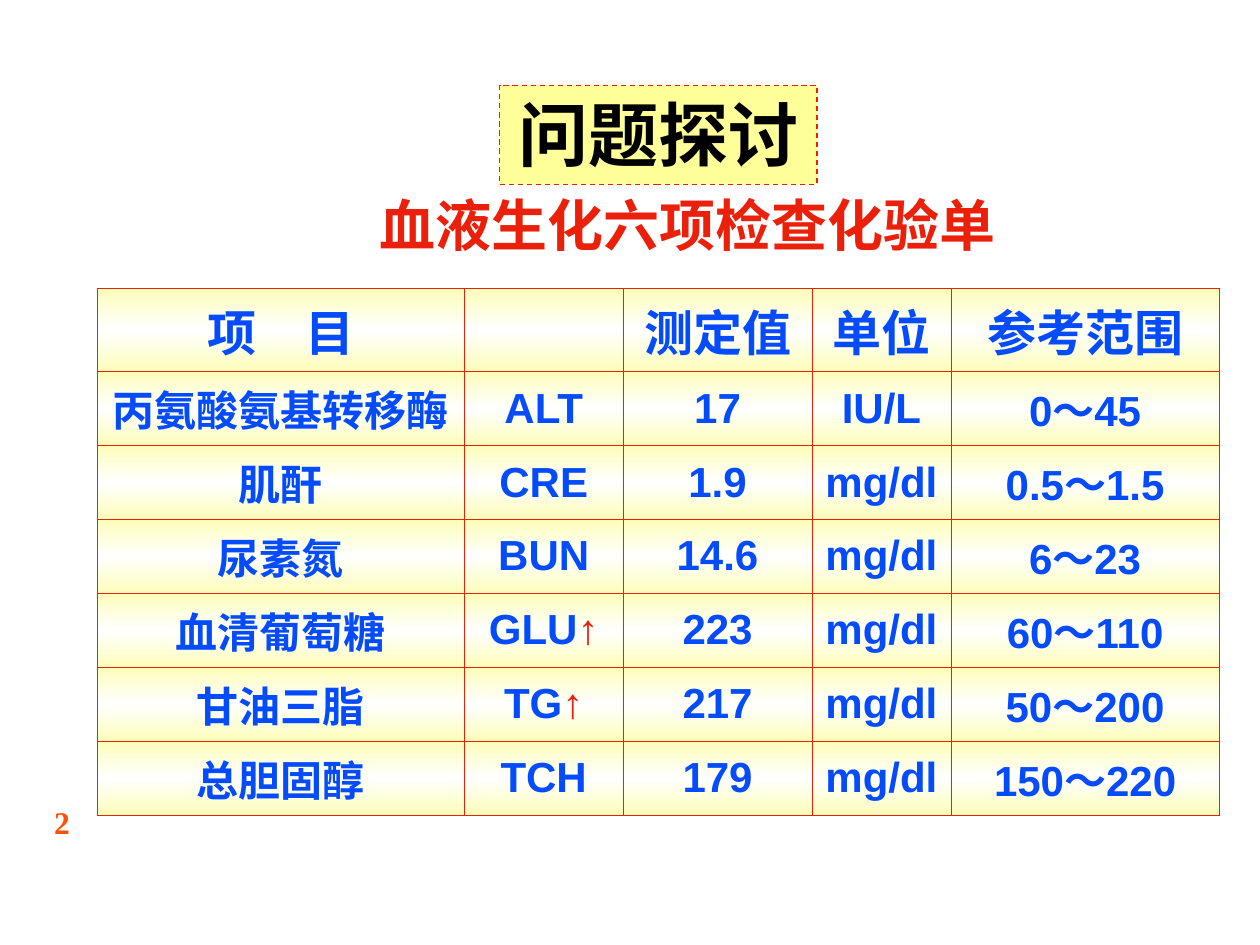
"""Build the blood chemistry report slide."""
from pptx import Presentation
from pptx.dml.color import RGBColor as RGB
from pptx.enum.dml import MSO_LINE as Dash
from pptx.enum.text import MSO_ANCHOR as Anchor, MSO_AUTO_SIZE as Fit, PP_ALIGN as Align
from pptx.oxml import parse_xml
from pptx.oxml.ns import nsdecls
from pptx.util import Cm, Pt

RED = RGB(0xEB, 0x20, 0x0B)
BLUE = RGB(0x04, 0x4B, 0xFC)
ORANGE = RGB(0xFF, 0x50, 0x08)
YELLOW = RGB(0xFF, 0xFF, 0x99)
CREAM = RGB(0xFC, 0xFE, 0xB9)
WHITE = RGB(0xFF, 0xFF, 0xFF)
BLACK = RGB(0, 0, 0)

ROWS = [
    ("项　目", "", "测定值", "单位", "参考范围"),
    ("丙氨酸氨基转移酶", "ALT", "17", "IU/L", "0～45"),
    ("肌酐", "CRE", "1.9", "mg/dl", "0.5～1.5"),
    ("尿素氮", "BUN", "14.6", "mg/dl", "6～23"),
    ("血清葡萄糖", "GLU↑", "223", "mg/dl", "60～110"),
    ("甘油三脂", "TG↑", "217", "mg/dl", "50～200"),
    ("总胆固醇", "TCH", "179", "mg/dl", "150～220"),
]
WIDTHS = [7.4, 3.2, 3.81, 2.8, 5.41]
HEIGHTS = [1.67] + [1.49] * 6


def style(para, size, color, face="Times New Roman", align=Align.CENTER):
    para.alignment = align
    font = para.font
    font.size, font.bold, font.name = Pt(size), True, face
    font.color.rgb = color


def paint(cell):
    props = cell._tc.get_or_add_tcPr()
    for side in ("lnL", "lnR", "lnT", "lnB"):
        props.append(parse_xml(
            f'<a:{side} {nsdecls("a")} w="5715"><a:solidFill>'
            f'<a:srgbClr val="{RED}"/></a:solidFill></a:{side}>'))
    stops = "".join(
        f'<a:gs pos="{pos}"><a:srgbClr val="{color}"/></a:gs>'
        for pos, color in ((0, CREAM), (50000, WHITE), (100000, CREAM)))
    props.append(parse_xml(
        f'<a:gradFill {nsdecls("a")}><a:gsLst>{stops}</a:gsLst>'
        '<a:lin ang="5400000" scaled="1"/></a:gradFill>'))


deck = Presentation()
deck.slide_width, deck.slide_height = Cm(25.4), Cm(19.05)
slide = deck.slides.add_slide(deck.slide_layouts[5])

title = slide.shapes.title
title.left, title.top, title.width, title.height = Cm(10.07), Cm(1.72), Cm(6.4), Cm(2)
title.fill.solid()
title.fill.fore_color.rgb = YELLOW
title.line.color.rgb = RED
title.line.width = Pt(0.75)
title.line.dash_style = Dash.DASH
frame = title.text_frame
frame.text = "问题探讨"
frame.auto_size = Fit.NONE
frame.vertical_anchor = Anchor.TOP
style(frame.paragraphs[0], 40, BLACK)

frame = slide.shapes.add_textbox(Cm(6.86), Cm(3.72), Cm(14), Cm(1.63)).text_frame
frame.text = "血液生化六项检查化验单"
frame.word_wrap = True
frame.auto_size = Fit.SHAPE_TO_FIT_TEXT
style(frame.paragraphs[0], 32, RED)

table = slide.shapes.add_table(
    len(ROWS), len(WIDTHS), Cm(1.96), Cm(5.82), Cm(sum(WIDTHS)), Cm(sum(HEIGHTS))).table
table.first_row = table.horz_banding = False
for col, width in zip(table.columns, WIDTHS):
    col.width = Cm(width)
for row, height, texts in zip(table.rows, HEIGHTS, ROWS):
    row.height = Cm(height)
    head = texts is ROWS[0]
    for cell, text in zip(row.cells, texts):
        paint(cell)
        cell.vertical_anchor = Anchor.MIDDLE
        cell.margin_left = cell.margin_right = Cm(0.25)
        para = cell.text_frame.paragraphs[0]
        style(para, 28 if head else 24, BLUE, "Arial")
        if not text:
            continue
        para.space_before = Pt(7 if head else 6)
        para.add_run().text = text.rstrip("↑")
        if text.endswith("↑"):
            mark = para.add_run()
            mark.text = "↑"
            mark.font.color.rgb = RED

frame = slide.shapes.add_textbox(Cm(-0.04), Cm(15.94), Cm(1.7), Cm(1.27)).text_frame
frame.text = "2"
frame.word_wrap = False
frame.vertical_anchor = Anchor.MIDDLE
style(frame.paragraphs[0], 18, ORANGE, align=Align.RIGHT)

deck.save("out.pptx")
